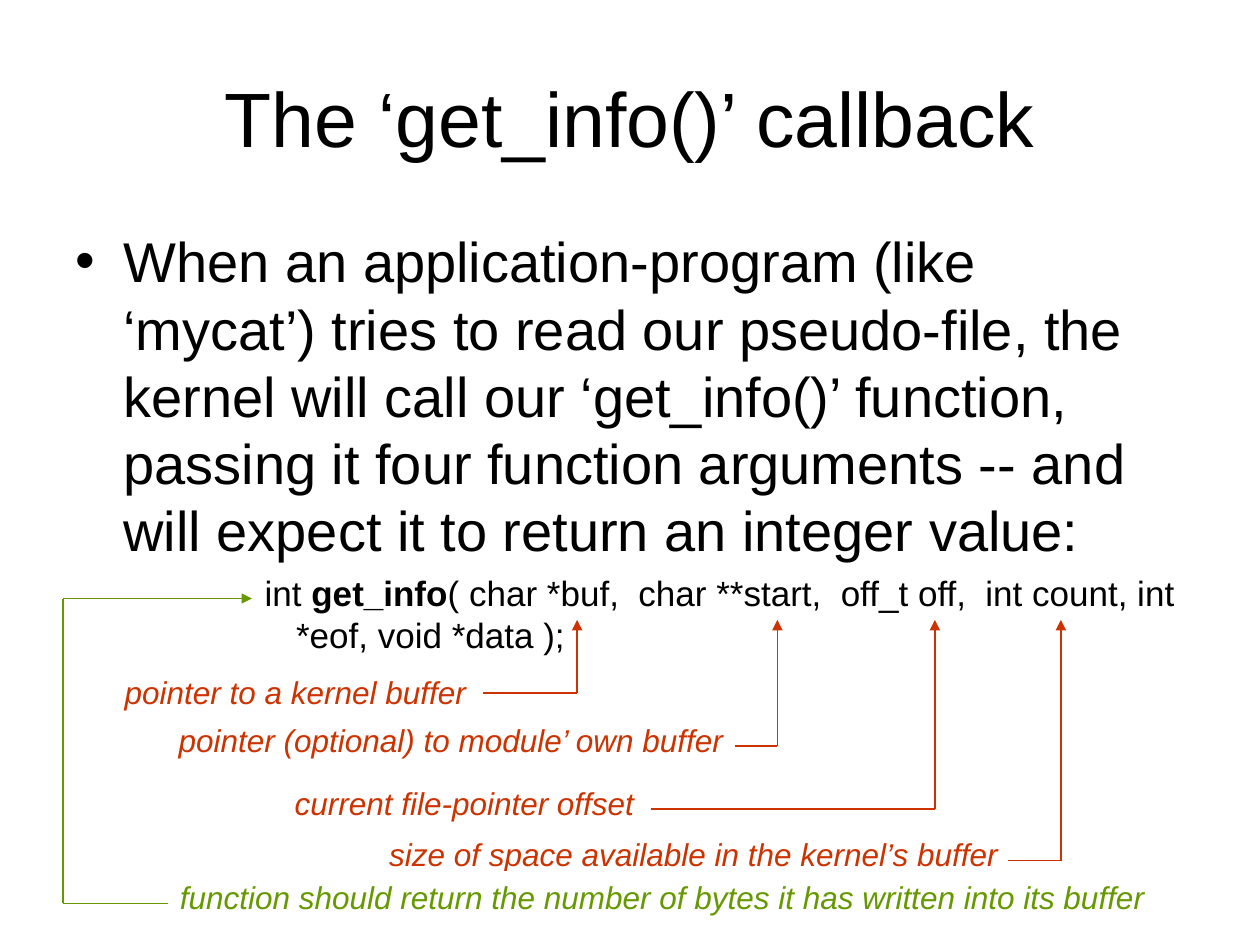
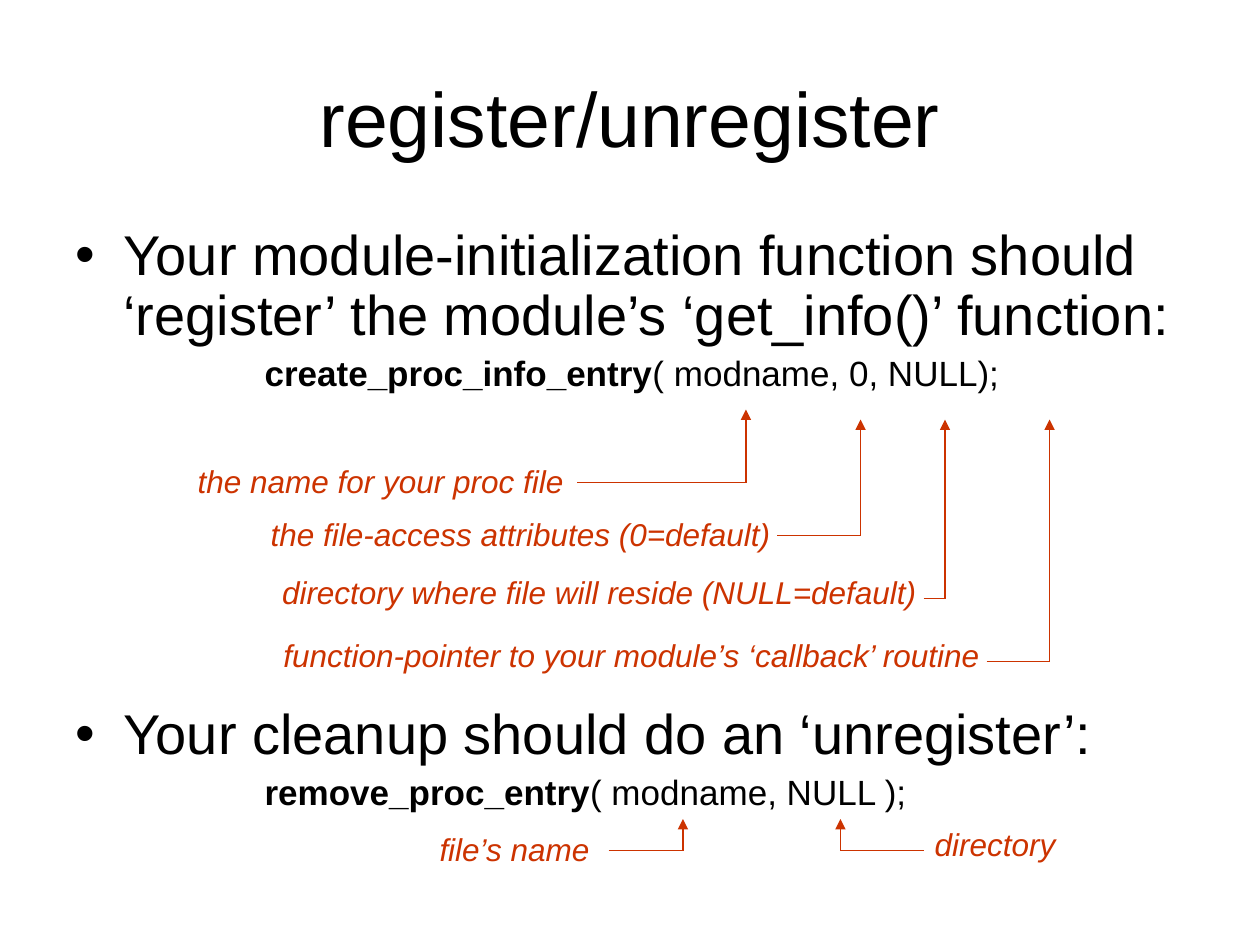
from lxml import etree
from pptx import Presentation
from pptx.dml.color import RGBColor
from pptx.enum.shapes import MSO_CONNECTOR
from pptx.enum.text import MSO_ANCHOR, MSO_AUTO_SIZE, PP_ALIGN
from pptx.oxml.ns import qn
from pptx.util import Inches, Pt

STRAIGHT = MSO_CONNECTOR.STRAIGHT
MIDDLE, TOP = MSO_ANCHOR.MIDDLE, MSO_ANCHOR.TOP
LEFT, CENTER = PP_ALIGN.LEFT, PP_ALIGN.CENTER
NO_AUTOFIT = MSO_AUTO_SIZE.NONE

BLACK, WHITE, RED, GREEN = "000000", "FFFFFF", "CC3300", "669900"
TITLE_BOX = (0.5, 0.3, 9, 1.25)
BODY_BOX = (0.5, 1.75, 9, 4.95)
NOTE_HEIGHT = 0.4

TITLE_FONT = {"name": "Arial", "size": Pt(44), "bold": False}
BULLET_FONT = {"name": "Arial", "size": Pt(32), "bold": False}
CODE_FONT = {"name": "Arial", "size": Pt(20), "bold": False}
NOTE_FONT = {"name": "Arial", "size": Pt(18), "italic": True}
BULLET, CODE = "bullet", "code"

# Each callout: text, left, top, width, path ending in an arrowhead.
# Lengths are inches from the corner of the callout area.
ARGUMENT_NOTES = [
    ("pointer to a kernel buffer", 0.39, 0.54, 2.98,
     [(3.33, 0.75), (4.08, 0.75), (4.08, 0.17)]),
    ("current file-pointer offset", 1.74, 1.42, 3.03,
     [(4.67, 1.67), (6.92, 1.67), (6.92, 0.17)]),
    ("pointer (optional) to module’ own buffer", 0.82, 0.92, 4.67,
     [(5.33, 1.17), (5.67, 1.17), (5.67, 0.17)]),
    ("size of space available in the kernel’s buffer", 2.49, 1.83, 5.31,
     [(7.5, 2.08), (7.92, 2.08), (7.92, 0.17)]),
]
RETURN_NOTES = [
    ("function should return the number of bytes it has written into its buffer",
     0.83, 2.17, 7.99, [(0.83, 2.42), (0, 2.42), (0, 0), (1.5, 0)]),
]
REGISTER_NOTES = [
    ("the name for your proc file", 0.97, 0.37, 3.24,
     [(4.08, 0.58), (5.42, 0.58), (5.42, 0)]),
    ("the file-access attributes (0=default)", 1.55, 0.79, 4.3,
     [(5.67, 1), (6.33, 1), (6.33, 0.08)]),
    ("directory where file will reside (NULL=default)", 1.64, 1.25, 5.37,
     [(6.83, 1.5), (7, 1.5), (7, 0.08)]),
    ("function-pointer to your module’s ‘callback’ routine", 1.65, 1.75, 5.81,
     [(7.33, 2), (7.83, 2), (7.83, 0.08)]),
]
UNREGISTER_NOTES = [
    ("file’s name", 2.89, 0.04, 1.46, [(4.33, 0.25), (4.92, 0.25), (4.92, 0)]),
    ("directory", 6.82, 0, 1.23, [(6.83, 0.25), (6.17, 0.25), (6.17, 0)]),
]


def rgb(colour):
    return RGBColor.from_string(colour)


def format_font(font, values, colour=BLACK):
    for name, value in values.items():
        setattr(font, name, value)
    font.color.rgb = rgb(colour)


def place(shape, box):
    shape.left, shape.top, shape.width, shape.height = map(Inches, box)


def prepare_frame(frame, anchor):
    frame.word_wrap = True
    frame.auto_size = NO_AUTOFIT
    frame.vertical_anchor = anchor


def add_title(slide, box, text):
    title = slide.shapes.title
    place(title, box)
    prepare_frame(title.text_frame, MIDDLE)
    paragraph = title.text_frame.paragraphs[0]
    paragraph.text = text
    paragraph.alignment = CENTER
    format_font(paragraph.runs[0].font, TITLE_FONT)


def set_marker(paragraph, kind):
    """Set the indent, and a bullet for list text or none for code."""
    properties = paragraph._p.get_or_add_pPr()
    margin, indent = (0.38, -0.38) if kind == BULLET else (1.75, -0.25)
    properties.set("marL", str(Inches(margin)))
    properties.set("indent", str(Inches(indent)))
    if kind == BULLET:
        etree.SubElement(properties, qn("a:buFont"), typeface="Arial")
        etree.SubElement(properties, qn("a:buChar"), char="•")
    else:
        etree.SubElement(properties, qn("a:buNone"))


def add_body(slide, box, items, line_spacing):
    """Fill the body with (kind, space before, [(text, bold), ...]) items."""
    body = slide.placeholders[1]
    place(body, box)
    frame = body.text_frame
    prepare_frame(frame, TOP)
    for index, (kind, space_before, runs) in enumerate(items):
        paragraph = frame.add_paragraph() if index else frame.paragraphs[0]
        set_marker(paragraph, kind)
        paragraph.level = 0 if kind == BULLET else 3
        paragraph.alignment = LEFT
        paragraph.line_spacing = line_spacing
        paragraph.space_before = Pt(space_before)
        for text, bold in runs:
            run = paragraph.add_run()
            run.text = text
            format_font(run.font, BULLET_FONT if kind == BULLET else CODE_FONT)
            run.font.bold = bold


def add_note(slide, box, text, colour, outline):
    note = slide.shapes.add_textbox(*map(Inches, box))
    if outline:
        note.line.color.rgb = rgb(outline)
        note.line.width = Pt(0.75)
    prepare_frame(note.text_frame, TOP)
    paragraph = note.text_frame.paragraphs[0]
    paragraph.text = text
    format_font(paragraph.runs[0].font, NOTE_FONT, colour)


def add_path(slide, points, colour):
    """Join the points with straight lines; the last one is an arrow."""
    for start, end in zip(points, points[1:]):
        line = slide.shapes.add_connector(STRAIGHT, *map(Inches, start + end))
        line.line.color.rgb = rgb(colour)
        line.line.width = Pt(0.75)
        if end == points[-1]:
            etree.SubElement(line.line._get_or_add_ln(), qn("a:tailEnd"), type="triangle")
        etree.SubElement(line._element.spPr, qn("a:effectLst"))


def add_callouts(slide, corner, callouts, colour=RED, outline=None):
    area_left, area_top = corner
    for text, left, top, width, path in callouts:
        box = (area_left + left, area_top + top, width, NOTE_HEIGHT)
        add_note(slide, box, text, colour, outline)
        points = [(area_left + x, area_top + y) for x, y in path]
        add_path(slide, points, colour)


def add_list_slide(presentation, title, items, line_spacing):
    slide = presentation.slides.add_slide(presentation.slide_layouts[1])
    add_title(slide, TITLE_BOX, title)
    add_body(slide, BODY_BOX, items, line_spacing)
    return slide


def add_callback_slide(presentation):
    slide = add_list_slide(presentation, "The ‘get_info()’ callback", [
        (BULLET, 0, [(
            "When an application-program (like ‘mycat’) tries to read our "
            "pseudo-file, the kernel will call our ‘get_info()’ function, "
            "passing it four function arguments -- and will expect it to "
            "return an integer value:", False)]),
        (CODE, 5, [
            ("int ", False), ("get_info", True),
            ("( char *buf,  char **start,  off_t off,  int count, "
             "int *eof, void *data );", False)]),
    ], 1.0)
    corner = (0.5, 4.75)
    add_callouts(slide, corner, ARGUMENT_NOTES)
    add_callouts(slide, corner, RETURN_NOTES, GREEN, WHITE)


def add_register_slide(presentation):
    slide = add_list_slide(presentation, "register/unregister", [
        (BULLET, 0, [(
            "Your module-initialization function should ‘register’ the "
            "module’s ‘get_info()’ function:", False)]),
        (CODE, 5, [("create_proc_info_entry", True),
                   ("( modname, 0, NULL);", False)]),
        (BULLET, 178, [("Your cleanup should do an ‘unregister’:", False)]),
        (CODE, 5, [("remove_proc_entry", True),
                   ("( modname, NULL );", False)]),
    ], 0.9)
    add_callouts(slide, (0.5, 3.25), REGISTER_NOTES)
    add_callouts(slide, (0.5, 6.5), UNREGISTER_NOTES)


def main():
    presentation = Presentation()
    presentation.slide_width, presentation.slide_height = Inches(10), Inches(7.5)
    add_callback_slide(presentation)
    add_register_slide(presentation)
    presentation.save("out.pptx")


if __name__ == "__main__":
    main()
